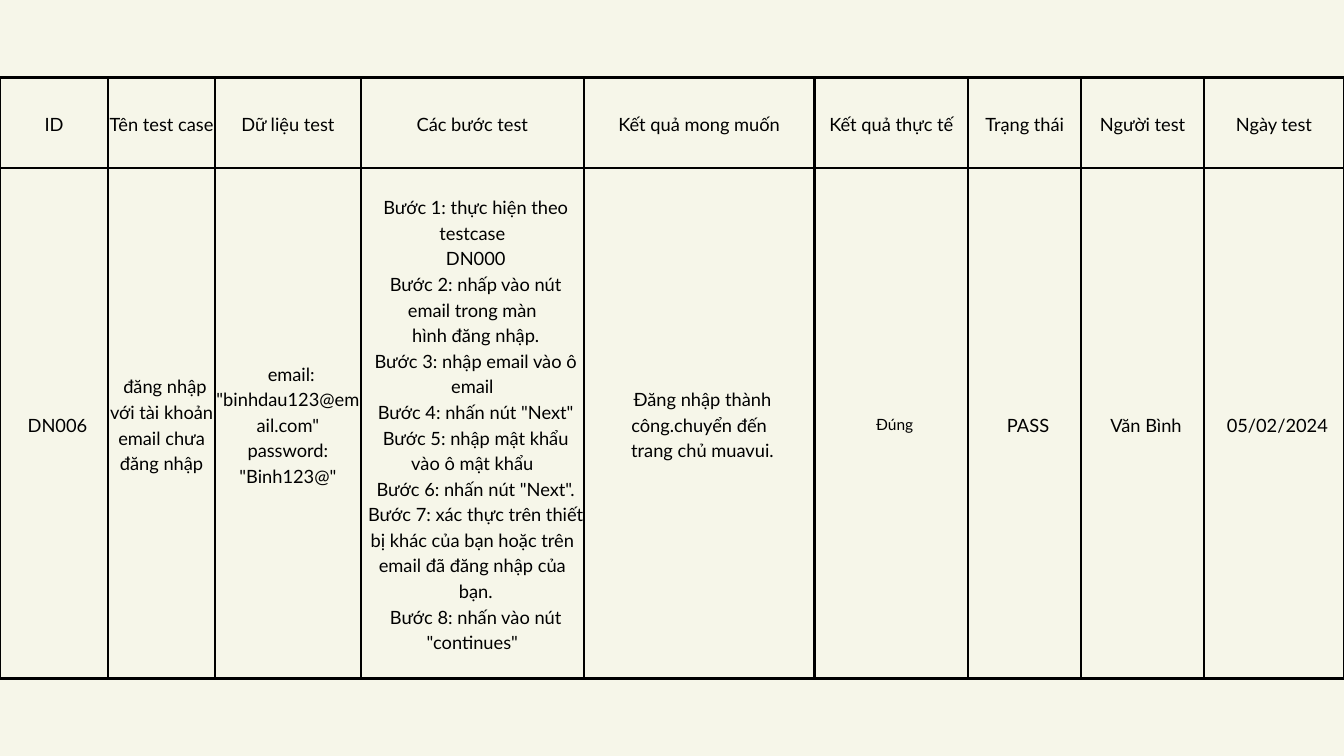
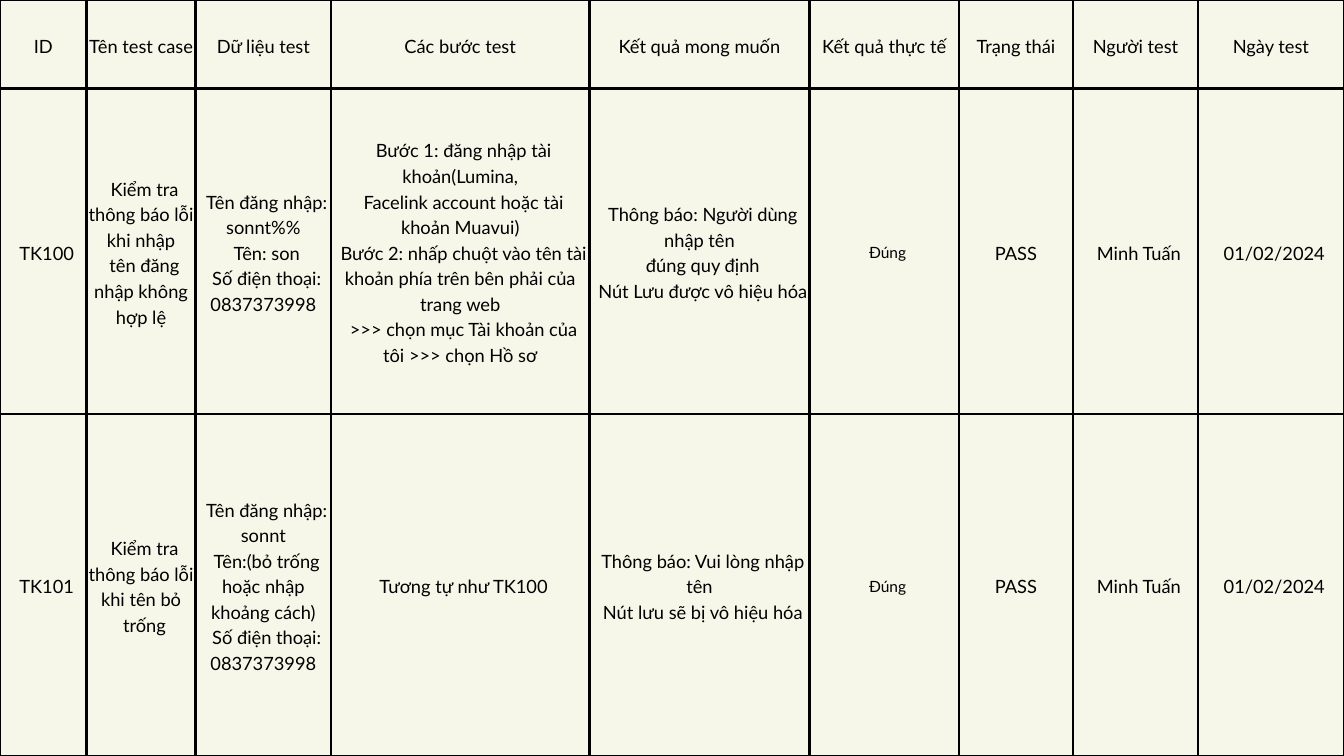
from lxml.etree import SubElement
from pptx import Presentation
from pptx.dml.color import RGBColor
from pptx.enum.text import MSO_ANCHOR, PP_ALIGN
from pptx.oxml.ns import qn
from pptx.util import Pt

PX = 9144  # EMU in one px, 100 px to the inch
PAGE_WIDTH, PAGE_HEIGHT = 2000, 1125
BLANK_LAYOUT = 6
CREAM = RGBColor(0xF6, 0xF6, 0xE9)
BLACK = RGBColor(0x00, 0x00, 0x00)

HEADERS = ["ID", "Tên test case", "Dữ liệu test", "Các bước test", "Kết quả mong muốn",
           "Kết quả thực tế", "Trạng thái", "Người test", "Ngày test"]
ACTUAL_RESULT = HEADERS.index("Kết quả thực tế")
STATUS = HEADERS.index("Trạng thái")

LOGIN_CASES = [
    ["DN006",
     "đăng nhập với tài khoản email chưa đăng nhập",
     'email: "binhdau123@email.com"\vpassword: "Binh123@"',
     "Bước 1: thực hiện theo testcase\n"
     "DN000\n"
     "Bước 2: nhấp vào nút email trong màn\n"
     "hình đăng nhập.\n"
     "Bước 3: nhập email vào ô email\n"
     'Bước 4: nhấn nút "Next"\n'
     "Bước 5: nhập mật khẩu vào ô mật khẩu\n"
     'Bước 6: nhấn nút "Next".\n'
     "Bước 7: xác thực trên thiết bị khác của bạn hoặc trên email đã đăng nhập của\n"
     "bạn.\n"
     'Bước 8: nhấn vào nút "continues"',
     "Đăng nhập thành công.chuyển đến\ntrang chủ muavui.",
     "Đúng", "PASS", "Văn Bình", "05/02/2024"],
]

ACCOUNT_CASES = [
    ["TK100",
     "Kiểm tra thông báo lỗi khi nhập\ntên đăng nhập không hợp lệ",
     "Tên đăng nhập: sonnt%%\nTên: son\nSố điện thoại: 0837373998",
     "Bước 1: đăng nhập tài khoản(Lumina,\n"
     "Facelink account hoặc tài khoản Muavui)\n"
     "Bước 2: nhấp chuột vào tên tài khoản phía trên bên phải của trang web\n"
     ">>> chọn mục Tài khoản của tôi >>> chọn Hồ sơ",
     "Thông báo: Người dùng nhập tên\nđúng quy định\nNút Lưu được vô hiệu hóa",
     "Đúng", "PASS", "Minh Tuấn", "01/02/2024"],
    ["TK101",
     "Kiểm tra thông báo lỗi khi tên bỏ\ntrống",
     "Tên đăng nhập: sonnt\n"
     "Tên:(bỏ trống hoặc nhập khoảng cách)\n"
     "Số điện thoại: 0837373998",
     "Tương tự như TK100",
     "Thông báo: Vui lòng nhập tên\nNút lưu sẽ bị vô hiệu hóa",
     "Đúng", "PASS", "Minh Tuấn", "01/02/2024"],
]


def write_text(cell, text, size=19.6, spacing=27.4, indent=0):
    """Fill a cell; each line of text is a paragraph whose first line is indented."""
    frame = cell.text_frame
    for number, line in enumerate(text.split("\n")):
        para = frame.add_paragraph() if number else frame.paragraphs[0]
        para.text = line
        para.alignment = PP_ALIGN.CENTER
        para.line_spacing = Pt(spacing)
        para._p.get_or_add_pPr().set("indent", str(indent * PX))
        for span in para.runs:
            span.font.name = "Lato"
            span.font.size = Pt(size)
            span.font.color.rgb = BLACK


class TestReport:
    border_width = Pt(3)
    body_indent = 10

    def __init__(self):
        self.deck = Presentation()
        self.deck.slide_width = PAGE_WIDTH * PX
        self.deck.slide_height = PAGE_HEIGHT * PX
        self.page = None

    def add_page(self):
        self.page = self.deck.slides.add_slide(self.deck.slide_layouts[BLANK_LAYOUT])
        self.page.background.fill.solid()
        self.page.background.fill.fore_color.rgb = CREAM

    def style_cell(self, cell):
        cell.vertical_anchor = MSO_ANCHOR.MIDDLE
        cell.margin_left = cell.margin_right = cell.margin_top = cell.margin_bottom = 0
        properties = cell._tc.get_or_add_tcPr()
        for side in ("lnL", "lnR", "lnT", "lnB"):
            line = SubElement(properties, qn(f"a:{side}"), w=str(self.border_width))
            fill = SubElement(line, qn("a:solidFill"))
            SubElement(fill, qn("a:srgbClr"), val=str(BLACK))
        cell.fill.background()

    def add_case_table(self, cases, top, widths, heights, indent_status=True):
        table = self.page.shapes.add_table(
            len(heights), len(widths), 0, top * PX, sum(widths) * PX, sum(heights) * PX).table
        table.first_row = table.horz_banding = False
        for column, width in zip(table.columns, widths):
            column.width = width * PX
        for row, height in zip(table.rows, heights):
            row.height = height * PX
        for row_number, texts in enumerate([HEADERS] + cases):
            for column_number, text in enumerate(texts):
                cell = table.cell(row_number, column_number)
                self.style_cell(cell)
                style = {}
                if row_number and (indent_status or column_number != STATUS):
                    style["indent"] = self.body_indent
                if row_number and column_number == ACTUAL_RESULT:
                    style.update(size=16.6, spacing=23.2)
                write_text(cell, text, **style)


def main():
    report = TestReport()
    report.add_page()
    report.add_case_table(LOGIN_CASES, top=115, heights=[135, 800 - 40],
                          widths=[161, 159, 217, 332, 343, 229, 168, 183, 208])
    report.add_page()
    report.add_case_table(ACCOUNT_CASES, top=0, heights=[132, 484, 509],
                          widths=[129, 162, 202, 384, 328, 222, 170, 186, 217],
                          indent_status=False)
    report.deck.save("out.pptx")


if __name__ == "__main__":
    main()
